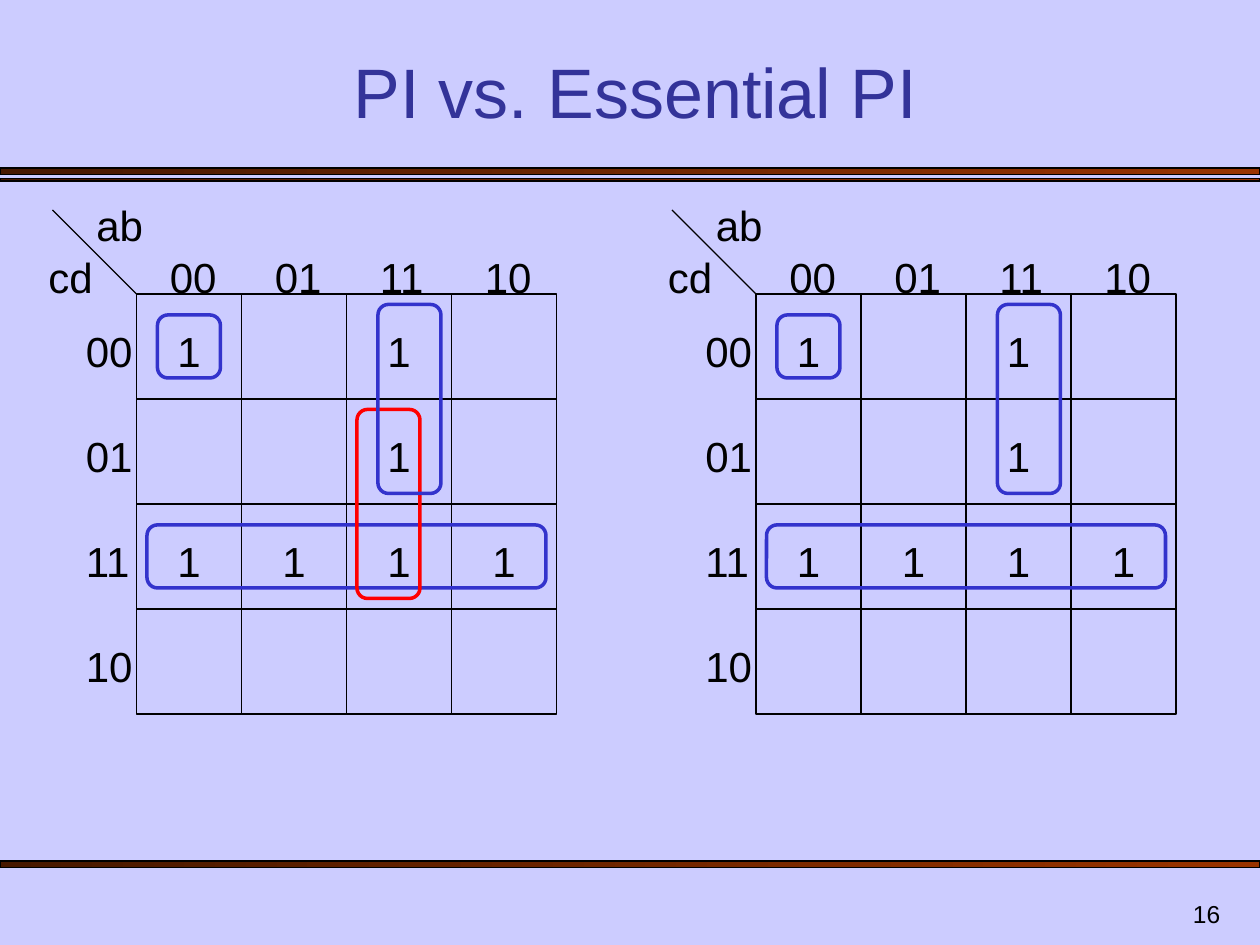
from dataclasses import dataclass
from pptx import Presentation
from pptx.dml.color import RGBColor as Rgb
from pptx.enum.shapes import MSO_CONNECTOR as Connector, MSO_SHAPE as Shape
from pptx.enum.text import MSO_ANCHOR as Anchor, PP_ALIGN as Align
from pptx.oxml.ns import qn
from pptx.util import Inches, Pt


@dataclass(frozen=True)
class Theme:
    font: str = "Arial"
    background: str = "CCCCFF"
    ink: str = "000000"
    title: str = "333399"
    bar: tuple = ("471800", "993300")
    blue: str = "3333CC"
    red: str = "FF0000"
    title_size: int = 40
    label_size: int = 24
    number_size: int = 14
    thin: float = 0.75
    thick: float = 2


THEME = Theme()
UNIT = Inches(10) / 120  # the slide is 120 by 90 units
CELL = 10
GRAY_CODE = ["00", "01", "11", "10"]
MAP_ROWS = ["1.1.", "..1.", "1111", "...."]

# Loops: left, top, width, height in units from the map's corner, then colour
FULL_ROW = (1, 22, 38, 6, THEME.blue)
OPTIONAL_PAIR = (21, 11, 6, 18, THEME.red)
ESSENTIAL_PAIR = (23, 1, 6, 18, THEME.blue)
SINGLE = (2, 2, 6, 6, THEME.blue)
MAPS = [
    (13, 28, [FULL_ROW, OPTIONAL_PAIR, ESSENTIAL_PAIR, SINGLE]),
    (72, 28, [FULL_ROW, ESSENTIAL_PAIR, SINGLE]),
]
BARS = [(16, 0.6), (17, 0.25), (82, 0.6)]  # top, height


def units(*values):
    return [round(value * UNIT) for value in values]


def add_text(shapes, text, area, size=THEME.label_size, color=THEME.ink,
             align=Align.LEFT, anchor=Anchor.TOP, top_inset=0.05):
    box = shapes.add_textbox(*units(*area))
    frame = box.text_frame
    frame.word_wrap = True
    frame.vertical_anchor = anchor
    frame.margin_top = Inches(top_inset)
    para = frame.paragraphs[0]
    para.alignment = align
    span = para.add_run()
    span.text = text
    span.font.name = THEME.font
    span.font.size = Pt(size)
    span.font.color.rgb = Rgb.from_string(color)


def add_outline(shapes, kind, area, color=THEME.ink, width=THEME.thin):
    shape = shapes.add_shape(kind, *units(*area))
    shape.shadow.inherit = False
    shape.fill.background()
    shape.line.color.rgb = Rgb.from_string(color)
    shape.line.width = Pt(width)
    return shape


def add_bar(shapes, top, height):
    bar = add_outline(shapes, Shape.RECTANGLE, (0, top, 120, height))
    bar.fill.gradient()
    bar.fill.gradient_angle = 0
    for stop, color in zip(bar.fill.gradient_stops, THEME.bar):
        stop.color.rgb = Rgb.from_string(color)


def add_diagonal(shapes, left, top):
    line = shapes.add_connector(Connector.STRAIGHT, *units(left - 8, top - 8, left, top))
    line.line.color.rgb = Rgb.from_string(THEME.ink)
    line.line.width = Pt(THEME.thin)
    properties = line._element.spPr
    properties.append(properties.makeelement(qn("a:effectLst"), {}))


def add_map(shapes, left, top):
    """Draw a Karnaugh map with its headings and ones."""
    def label(text, x, y, width, align=Align.LEFT):
        add_text(shapes, text, (left + x, top + y, width, 6), align=align, top_inset=0.08)

    add_diagonal(shapes, left, top)
    label("ab", -5, -10, 8)
    label("cd", -10, -5, 7, Align.RIGHT)
    for index, code in enumerate(GRAY_CODE):
        label(code, index * CELL + 2, -5, 7.2)
        label(code, -6, index * CELL + 2, 7.2)
    for row, marks in enumerate(MAP_ROWS):
        for column, mark in enumerate(marks):
            x, y = column * CELL, row * CELL
            add_outline(shapes, Shape.RECTANGLE, (left + x, top + y, CELL, CELL))
            if mark == "1":
                label(mark, x, y + 2, CELL, Align.CENTER)


def add_loop(shapes, left, top, loop):
    x, y, width, height, color = loop
    shape = add_outline(shapes, Shape.ROUNDED_RECTANGLE,
                        (left + x, top + y, width, height), color, THEME.thick)
    shape.adjustments[0] = 1 / min(width, height)


def main():
    deck = Presentation()
    deck.slide_width, deck.slide_height = units(120, 90)
    page = deck.slides.add_slide(deck.slide_layouts[6])
    page.background.fill.solid()
    page.background.fill.fore_color.rgb = Rgb.from_string(THEME.background)

    for top, height in BARS:
        add_bar(page.shapes, top, height)
    add_text(page.shapes, "16", (92.4, 84, 25, 5), size=THEME.number_size,
             align=Align.RIGHT, anchor=Anchor.BOTTOM)
    add_text(page.shapes, "PI vs. Essential PI", (7, 5, 107, 8.2), size=THEME.title_size,
             color=THEME.title, align=Align.CENTER, anchor=Anchor.BOTTOM)
    for left, top, loops in MAPS:
        add_map(page.shapes.add_group_shape().shapes, left, top)
        for loop in loops:
            add_loop(page.shapes, left, top, loop)
    deck.save("out.pptx")


if __name__ == "__main__":
    main()
